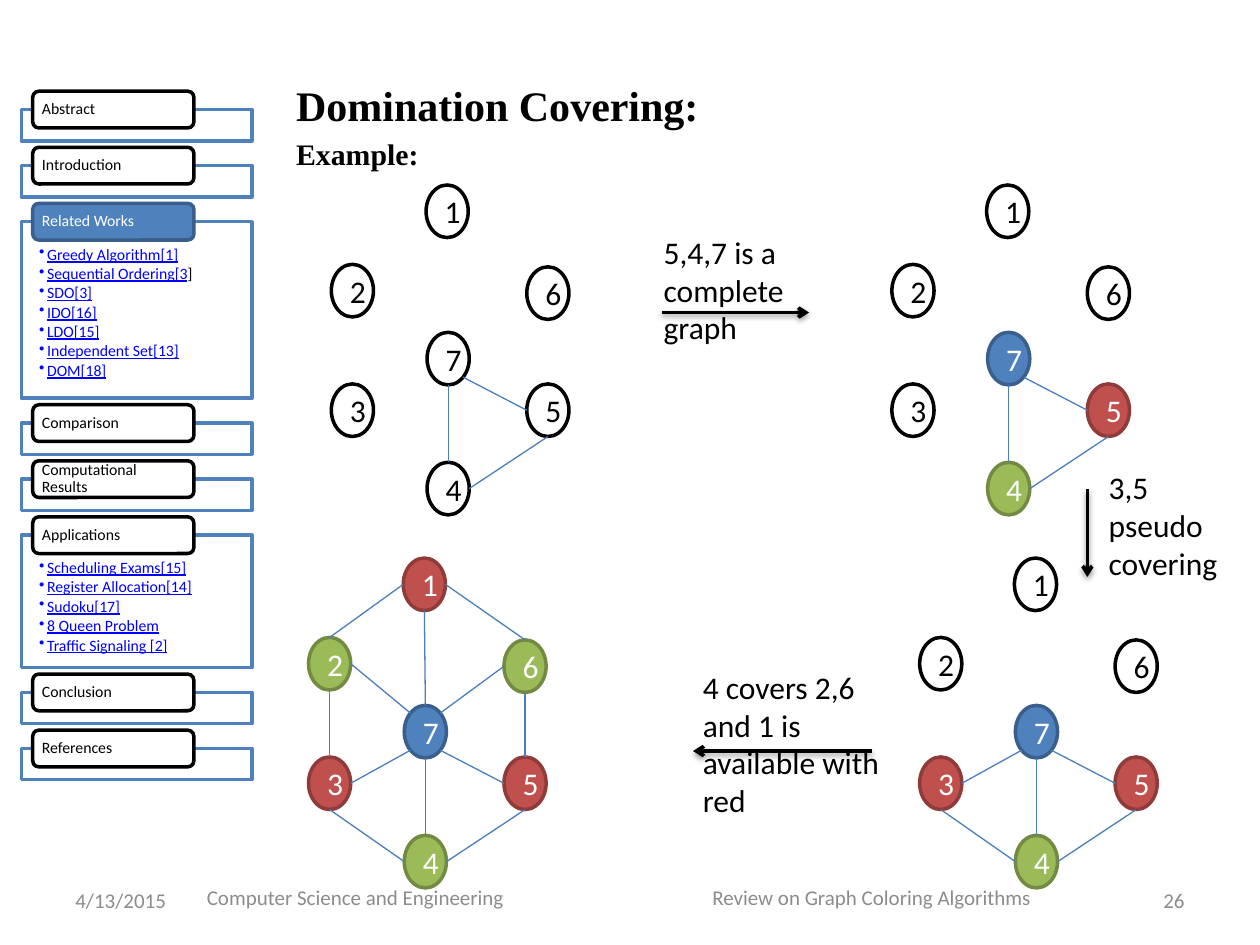
from math import sqrt

from lxml.etree import SubElement
from pptx import Presentation
from pptx.dml.color import RGBColor
from pptx.enum.shapes import MSO_CONNECTOR as Link, MSO_SHAPE as Shape
from pptx.enum.text import MSO_ANCHOR as Anchor, PP_ALIGN as Align
from pptx.oxml.ns import qn
from pptx.util import Cm, Pt

# Content (lengths in centimetres)
SECTIONS = [  # heading, frame height, topics
    ("Abstract", 0.63, []),
    ("Introduction", 0.63, []),
    ("Related Works", 3.56, ["Greedy Algorithm[1]", "Sequential Ordering[3]", "SDO[3]", "IDO[16]",
                             "LDO[15]", "Independent Set[13]", "DOM[18]"]),
    ("Comparison", 0.63, []),
    ("Computational Results", 0.63, []),
    ("Applications", 2.67, ["Scheduling Exams[15]", "Register Allocation[14]", "Sudoku[17]",
                            "8 Queen Problem", "Traffic Signaling [2]"]),
    ("Conclusion", 0.63, []),
    ("References", 0.63, []),
]
CURRENT_SECTION = "Related Works"
PLAIN_BRACKET = "Sequential Ordering[3]"  # its closing bracket is not styled as a link

HEADINGS = [("Domination Covering:", 24), ("Example:", 17)]
NOTES = [  # text, left, top, width, height
    ("5,4,7 is a complete graph", 13.13, 4.57, 3.18, 2.57),
    ("3,5 pseudo covering", 22.1, 9.32, 3.18, 2.57),
    ("4 covers 2,6 and 1 is available with red", 13.92, 13.34, 4.06, 3.33),
]
ARROWS = [(13.34, 6.3, 16.31, 6.3), (21.92, 9.86, 21.92, 11.63), (17.58, 15.14, 13.97, 15.14)]
FOOTER = "Computer Science and Engineering\tReview on Graph Coloring Algorithms"

# Graphs: node places within a graph, and edges as (node, site, node, site)
NODES = {1: (1.91, 0), 7: (1.93, 2.97), 6: (3.94, 1.65), 5: (3.94, 4.01),
         4: (1.93, 5.59), 3: (0, 4.01), 2: (0, 1.6)}
NODE_WIDTH, NODE_HEIGHT = 0.85, 1.06
TRIANGLE = [(7, "bottom", 4, "top"), (4, "right", 5, "bottom"), (7, "lower right", 5, "left")]
PSEUDO = TRIANGLE + [(3, "right", 7, "lower left"), (3, "bottom", 4, "left")]
COVERED = PSEUDO + [(1, "left", 2, "top"), (2, "bottom", 3, "top"), (1, "right", 6, "top"),
                    (6, "bottom", 5, "top"), (1, "bottom", 7, "top"),
                    (7, "upper left", 2, "right"), (7, "upper right", 6, "left")]
DIAGONAL = sqrt(0.5)
SITES = {"top": (0, -1), "bottom": (0, 1), "left": (-1, 0), "right": (1, 0),
         "upper left": (-DIAGONAL, -DIAGONAL), "upper right": (DIAGONAL, -DIAGONAL),
         "lower left": (-DIAGONAL, DIAGONAL), "lower right": (DIAGONAL, DIAGONAL)}
GRAPHS = [  # left, top, edges, node colours
    (6.68, 3.73, TRIANGLE, {}),
    (17.98, 3.73, TRIANGLE, {7: "blue", 5: "red", 4: "green"}),
    (18.54, 11.25, PSEUDO, {7: "blue", 5: "red", 4: "green", 3: "red"}),
    (6.22, 11.25, COVERED, {7: "blue", 5: "red", 4: "green", 3: "red",
                            1: "red", 2: "green", 6: "green"}),
]
STYLES = {  # fill, outline, text
    "white": ("FFFFFF", "000000", "000000"),
    "blue": ("4F81BD", "3A5F8C", "FFFFFF"),
    "red": ("C0504D", "8E3B39", "FFFFFF"),
    "green": ("9BBB59", "738A42", "FFFFFF"),
}

deck = Presentation()
deck.slide_width, deck.slide_height = Cm(25.4), Cm(19.05)
page = deck.slides.add_slide(deck.slide_layouts[6])


def color(value):
    return RGBColor.from_string(value)


def style_font(font, size, tint="000000", name="Calibri"):
    font.name, font.size, font.color.rgb = name, Pt(size), color(tint)


def add_box(kind, left, top, width, height, fill, outline):
    box = page.shapes.add_shape(kind, Cm(left), Cm(top), Cm(width), Cm(height))
    box.shadow.inherit = False
    box.fill.solid()
    box.fill.fore_color.rgb = color(fill)
    box.line.color.rgb = color(outline)
    box.line.width = Pt(2)
    return box


def add_text(text, left, top, width, height, size, tint="000000", align=Align.LEFT,
             anchor=Anchor.TOP):
    box = page.shapes.add_textbox(Cm(left), Cm(top), Cm(width), Cm(height))
    frame = box.text_frame
    frame.word_wrap, frame.vertical_anchor = True, anchor
    para = frame.paragraphs[0]
    para.text, para.alignment = text, align
    style_font(para.font, size, tint)
    return frame


def add_line(ends, tint, width):
    line = page.shapes.add_connector(Link.STRAIGHT, *map(Cm, ends))
    line.line.color.rgb = color(tint)
    line.line.width = Pt(width)
    effects = SubElement(line._element.spPr, qn("a:effectLst"))
    return line, effects


def add_arrow(ends):
    arrow, effects = add_line(ends, "000000", 2)
    SubElement(arrow.line._get_or_add_ln(), qn("a:tailEnd"), type="arrow")
    shadow = SubElement(effects, qn("a:outerShdw"), blurRad="40000", dist="20000",
                        dir="5400000", rotWithShape="0")
    tint = SubElement(shadow, qn("a:srgbClr"), val="000000")
    SubElement(tint, qn("a:alpha"), val="38000")


def add_graph(left, top, edges, colors):
    def site_point(node, site):
        x, y = NODES[node]
        across, down = SITES[site]
        return (left + x + NODE_WIDTH / 2 * (1 + across),
                top + y + NODE_HEIGHT / 2 * (1 + down))

    for number, (x, y) in NODES.items():
        fill, outline, tint = STYLES[colors.get(number, "white")]
        node = add_box(Shape.OVAL, left + x, top + y, NODE_WIDTH, NODE_HEIGHT, fill, outline)
        para = node.text_frame.paragraphs[0]
        para.text, para.alignment = str(number), Align.CENTER
        style_font(para.font, 18, tint)
    for start, start_site, end, end_site in edges:
        add_line(site_point(start, start_site) + site_point(end, end_site), "4B7EBC", 0.75)


def add_topics(frame, topics):
    frame.vertical_anchor = Anchor.TOP
    frame.margin_left = frame.margin_right = Cm(0.36)
    frame.margin_top, frame.margin_bottom = Cm(0.5), Cm(0.18)
    for index, topic in enumerate(topics):
        para = frame.add_paragraph() if index else frame.paragraphs[0]
        para.alignment, para.line_spacing, para.space_after = Align.LEFT, 0.9, Pt(1.3)
        style_font(para.font, 9, "0000FF")
        linked = topic[:-1] if topic == PLAIN_BRACKET else topic
        span = para.add_run()
        span.text, span.font.underline = linked, True
        if linked != topic:
            span = para.add_run()
            span.text, span.font.color.rgb = "]", color("000000")
        props = para._p.get_or_add_pPr()
        props.set("marL", str(Cm(0.16)))
        props.set("indent", str(-Cm(0.16)))
        bullet = SubElement(props, qn("a:buChar"), char="•")
        props.remove(bullet)
        props.find(qn("a:defRPr")).addprevious(bullet)


# Headings
frame = add_text("", 5.72, 1.47, 18.21, 2.2, 24)
for index, (text, size) in enumerate(HEADINGS):
    para = frame.add_paragraph() if index else frame.paragraphs[0]
    para.text, para.space_before = text, Pt(3.5)
    style_font(para.font, size, name="Times New Roman")
    para.font.bold = True

# Graphs, arrows and notes
for graph in GRAPHS:
    add_graph(*graph)
for ends in ARROWS:
    add_arrow(ends)
for text, *place in NOTES:
    add_text(text, *place, 18)

# Sidebar
top = 2.21
for heading, height, topics in SECTIONS:
    panel = add_box(Shape.RECTANGLE, 0.43, top, 4.65, height, "FFFFFF", "4F81BD")
    add_topics(panel.text_frame, topics)
    fill, outline, tint = STYLES["blue" if heading == CURRENT_SECTION else "white"]
    label = add_box(Shape.ROUNDED_RECTANGLE, 0.66, top - 0.37, 3.25, 0.74, fill, outline)
    frame = label.text_frame
    frame.margin_left = frame.margin_right = Cm(0.15)
    frame.margin_top = frame.margin_bottom = 0
    para = frame.paragraphs[0]
    para.text, para.alignment, para.line_spacing = heading, Align.LEFT, 0.9
    style_font(para.font, 9, tint)
    top += height + 0.5

# Footer
add_text("4/13/2015", 1.27, 17.65, 5.93, 1.01, 12, "8C8C8C", anchor=Anchor.MIDDLE)
add_text("26", 18.2, 17.65, 5.93, 1.01, 12, "8C8C8C", Align.RIGHT, Anchor.MIDDLE)
frame = add_text(FOOTER, 2.34, 17.58, 20.32, 1.01, 12, "8C8C8C", anchor=Anchor.MIDDLE)
frame.margin_left = Cm(1.83)
props = frame.paragraphs[0]._p.get_or_add_pPr()
tabs = SubElement(props, qn("a:tabLst"))
SubElement(tabs, qn("a:tab"), pos=str(Cm(10.19)), algn="l")
props.find(qn("a:defRPr")).addprevious(tabs)

deck.save("out.pptx")
